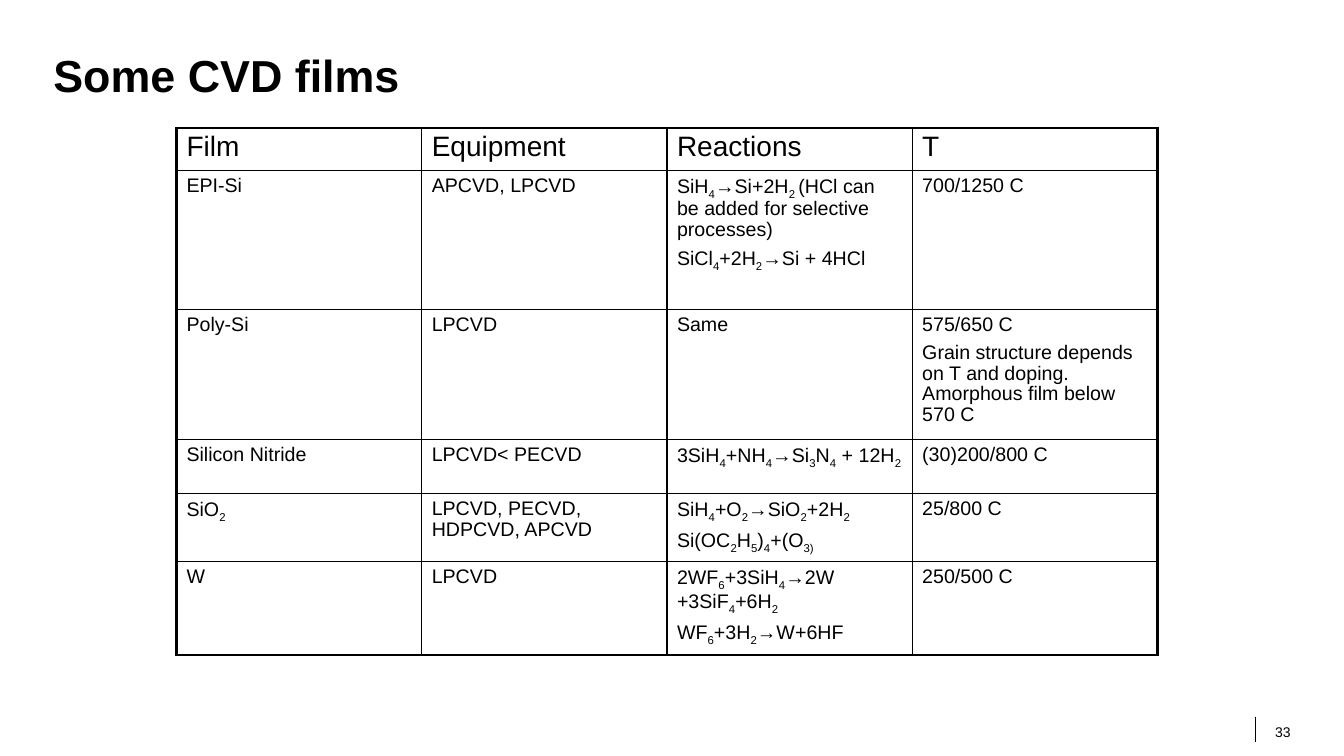
from dataclasses import dataclass

from lxml.etree import SubElement
from pptx import Presentation
from pptx.dml.color import RGBColor as RGB
from pptx.enum.shapes import MSO_CONNECTOR as Connector
from pptx.enum.text import MSO_ANCHOR as Anchor, PP_ALIGN as Align
from pptx.oxml.ns import qn
from pptx.util import Inches, Pt


@dataclass(frozen=True)
class Theme:
    font: str = "Arial"
    ink: RGB = RGB(0, 0, 0)
    title: int = 32
    header: int = 20
    body: int = 14
    number: int = 10
    thin: float = 1
    thick: float = 2.25


# Text between ~ marks is subscript; each cell is a list of paragraphs
FILMS = [
    [["Film"], ["Equipment"], ["Reactions"], ["T"]],
    [["EPI-Si"], ["APCVD, LPCVD"],
     ["SiH~4~→Si+2H~2 ~(HCl can be added for selective processes)",
      "SiCl~4~+2H~2~→Si + 4HCl"],
     ["700/1250 C"]],
    [["Poly-Si"], ["LPCVD"], ["Same"],
     ["575/650 C",
      "Grain structure depends on T and doping. Amorphous film below 570 C"]],
    [["Silicon Nitride"], ["LPCVD< PECVD"],
     ["3SiH~4~+NH~4~→Si~3~N~4~ + 12H~2~"], ["(30)200/800 C"]],
    [["SiO~2~"], ["LPCVD, PECVD, HDPCVD, APCVD"],
     ["SiH~4~+O~2~→SiO~2~+2H~2~", "Si(OC~2~H~5~)~4~+(O~3)~"],
     ["25/800 C"]],
    [["W"], ["LPCVD"],
     ["2WF~6~+3SiH~4~→2W +3SiF~4~+6H~2~", "WF~6~+3H~2~→W+6HF"],
     ["250/500 C"]],
]
ROW_HEIGHTS = [0.42, 1.38, 1.29, 0.54, 0.63, 0.85]


class SlideBuilder:
    def __init__(self, slide, theme):
        self.s = slide
        self.theme = theme

    def add_text(self, tf, paragraphs, size, bold=False, spacing=None,
                 align=Align.LEFT):
        for i, text in enumerate(paragraphs):
            p = tf.add_paragraph() if i else tf.paragraphs[0]
            p.alignment = align
            p.line_spacing = spacing
            if i:
                p.space_before = Pt(5)
            for j, part in enumerate(text.split("~")):
                if not part:
                    continue
                r = p.add_run()
                r.text = part
                font = r.font
                font.name, font.size, font.bold = self.theme.font, Pt(size), bold
                font.color.rgb = self.theme.ink
                if j % 2:
                    r._r.get_or_add_rPr().set("baseline", "-25000")

    def text_box(self, box, text, size, anchor=Anchor.TOP, wrap=True, **style):
        tf = self.s.shapes.add_textbox(*map(Inches, box)).text_frame
        tf.margin_left = tf.margin_right = tf.margin_top = tf.margin_bottom = 0
        tf.word_wrap = wrap
        tf.vertical_anchor = anchor
        self.add_text(tf, [text], size, **style)

    def line(self, x1, y1, x2, y2, width):
        sp = self.s.shapes.add_connector(
            Connector.STRAIGHT, *map(Inches, (x1, y1, x2, y2)))
        sp.line.color.rgb = self.theme.ink
        sp.line.width = Pt(width)
        SubElement(sp._element.spPr, qn("a:effectLst"))

    def border(self, cell, side, width):
        ln = SubElement(cell._tc.get_or_add_tcPr(), qn(f"a:ln{side}"),
                        w=str(Pt(width)))
        fill = SubElement(ln, qn("a:solidFill"))
        SubElement(fill, qn("a:srgbClr"), val=str(self.theme.ink))

    def table(self, left, top, width, heights, rows):
        th = self.theme
        last_row, last_col = len(rows) - 1, len(rows[0]) - 1
        table = self.s.shapes.add_table(
            len(rows), len(rows[0]),
            *map(Inches, (left, top, width, sum(heights)))).table
        table.first_row = table.horz_banding = False
        for row, height in zip(table.rows, heights):
            row.height = Inches(height)
        for i, row in enumerate(rows):
            for j, paragraphs in enumerate(row):
                cell = table.cell(i, j)
                outer = {"L": j == 0, "R": j == last_col,
                         "T": i == 0, "B": i == last_row}
                for side, is_outer in outer.items():
                    self.border(cell, side, th.thick if is_outer else th.thin)
                cell.fill.background()
                self.add_text(cell.text_frame, paragraphs,
                              th.body if i else th.header, spacing=0.95)


def main():
    prs = Presentation()
    prs.slide_width, prs.slide_height = Inches(13.33), Inches(7.5)
    theme = Theme()
    slide = SlideBuilder(prs.slides.add_slide(prs.slide_layouts[6]), theme)

    # Footer
    slide.line(12.45, 7.11, 12.45, 7.36, 0.5)
    slide.text_box((12.55, 7.14, 0.25, 0.2), "33", theme.number,
                   anchor=Anchor.BOTTOM, wrap=False, align=Align.RIGHT)

    # Title
    slide.text_box((0.53, 0.53, 12.27, 0.58), "Some CVD films", theme.title,
                   bold=True, spacing=0.9)

    # Film table
    slide.table(1.75, 1.27, 9.73, ROW_HEIGHTS, FILMS)

    prs.save("out.pptx")


if __name__ == "__main__":
    main()
